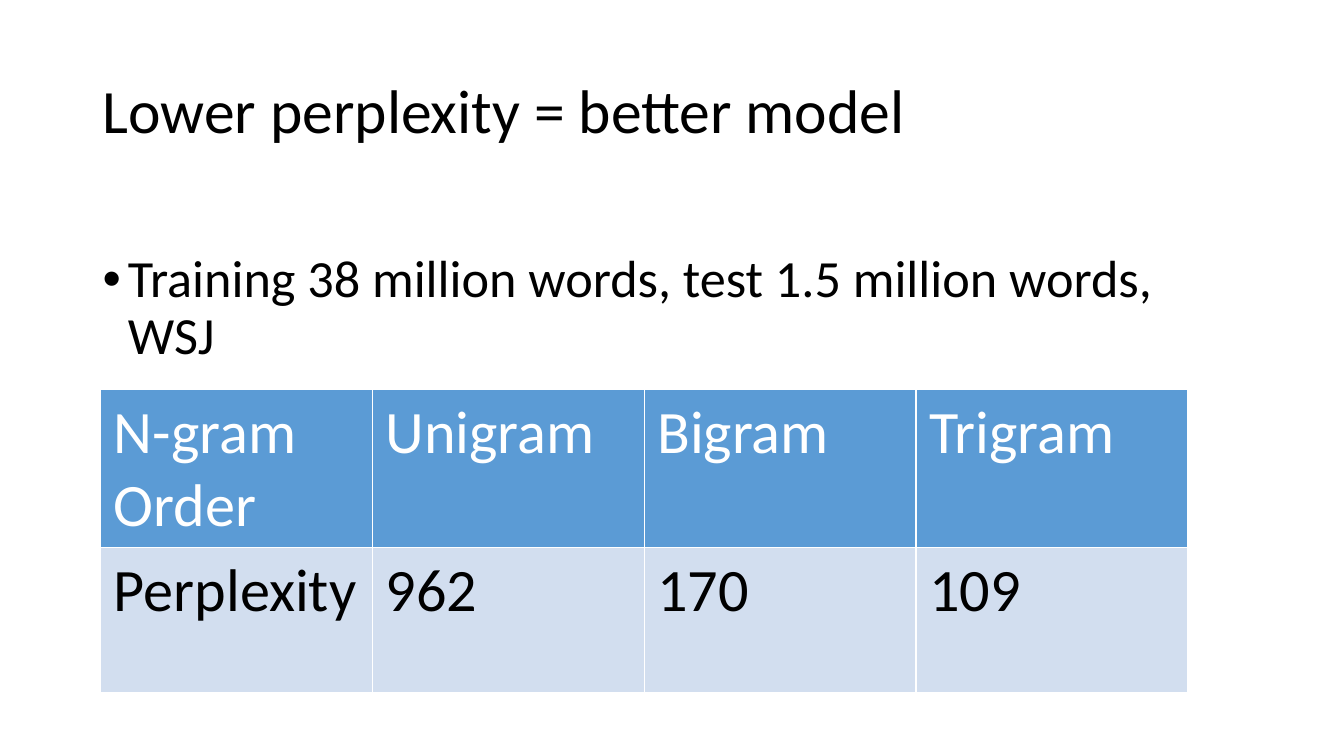
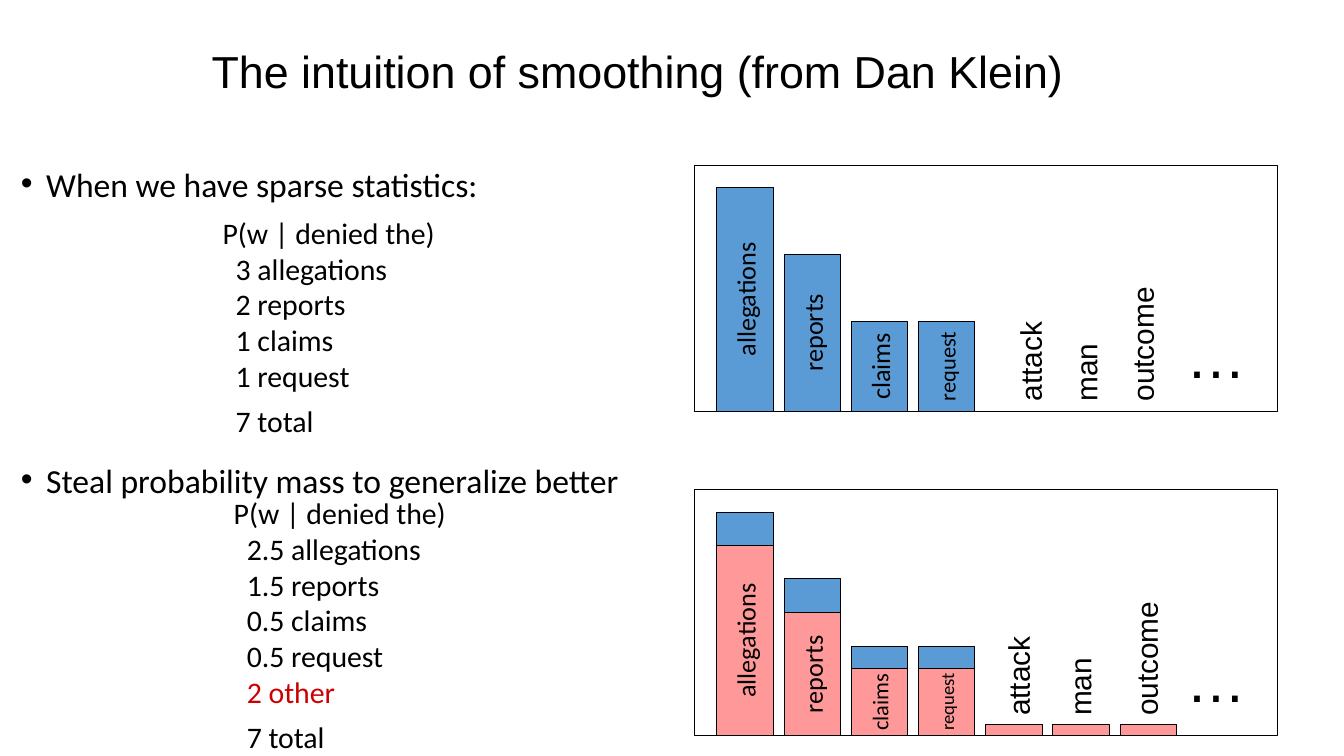
from dataclasses import dataclass

from lxml import etree
from pptx import Presentation
from pptx.dml.color import RGBColor
from pptx.enum import shapes, text
from pptx.oxml.ns import qn
from pptx.util import Inches, Pt


@dataclass(frozen=True)
class Theme:
    ink: str = "000000"
    paper: str = "FFFFFF"
    blue: str = "5B9BD5"
    pale: str = "D2DEEF"
    pink: str = "FF9999"
    red: str = "CC0000"
    body_font: str = "Calibri"
    plain_font: str = "Arial"
    title: float = 44
    small_title: float = 32
    table: float = 43
    statement: float = 37.3
    bullet: float = 24
    count: float = 21.3
    bar: float = 18.7
    ellipsis: float = 42.7


theme = Theme()


def write(frame, lines, size, font=theme.body_font, color=theme.ink, spacing=1.0,
          anchor=text.MSO_ANCHOR.TOP, align=text.PP_ALIGN.LEFT, wrap=True,
          bullet=False, indents=(), gap_before_last=0, accents=()):
    """Fill a text frame; indents are inches per line, accents are (line, colour) pairs."""
    frame.word_wrap = wrap
    frame.vertical_anchor = anchor
    colors = dict(accents)
    for index, line in enumerate(lines):
        para = frame.paragraphs[0] if index == 0 else frame.add_paragraph()
        para.alignment = align
        para.line_spacing = spacing
        span = para.add_run()
        span.text = line
        span.font.size = Pt(size)
        span.font.name = font
        span.font.bold = False
        span.font.color.rgb = RGBColor.from_string(colors.get(index, color))
        props = para._p.get_or_add_pPr()
        if indents:
            props.set("marL", str(Inches(indents[index])))
        if bullet:
            props.set("marL", str(Inches(0.25)))
            props.set("indent", str(Inches(-0.25)))
            etree.SubElement(props, qn("a:buFont"), typeface="Arial")
            etree.SubElement(props, qn("a:buChar"), char="•")
    if gap_before_last:
        para.space_before = Pt(gap_before_last)


def add_box(page, left, top, width, height, fill=None, upright=False, outline=True):
    """Add a rectangle or text box; upright ones are turned to read from bottom to top."""
    if upright:
        left += (width - height) / 2
        top += (height - width) / 2
        width, height = height, width
    place = Inches(left), Inches(top), Inches(width), Inches(height)
    if outline:
        box = page.shapes.add_shape(shapes.MSO_SHAPE.RECTANGLE, *place)
        box.shadow.inherit = False
        box.line.color.rgb = RGBColor.from_string(theme.ink)
        box.line.width = Pt(0.75)
        if fill:
            box.fill.solid()
            box.fill.fore_color.rgb = RGBColor.from_string(fill)
        else:
            box.fill.background()
    else:
        box = page.shapes.add_textbox(*place)
    if upright:
        box.rotation = 270
    return box


deck = Presentation()
deck.slide_width = Inches(13.33)
deck.slide_height = Inches(7.5)
blank = deck.slide_layouts[6]

# Titles and bullets
titles = [
    ("Lower perplexity = better model", (0.92, 0.4, 11.5, 1.45),
     theme.title, theme.body_font),
    ("The intuition of smoothing (from Dan Klein)", (2, 0.19, 10.89, 1.08),
     theme.small_title, theme.plain_font),
]
pages = []
for title, place, size, font in titles:
    page = deck.slides.add_slide(blank)
    box = add_box(page, *place, outline=False)
    write(box.text_frame, [title], size, font=font, spacing=0.9,
          anchor=text.MSO_ANCHOR.MIDDLE)
    pages.append(page)
perplexity_page, smoothing_page = pages

bullets = [
    (perplexity_page, "Training 38 million words, test 1.5 million words, WSJ",
     (0.92, 2.46, 11.5, 1.3), theme.statement, 0.9),
    (smoothing_page, "When we have sparse statistics:",
     (0.11, 1.69, 6.6, 0.4), theme.bullet, 0.7),
    (smoothing_page, "Steal probability mass to generalize better",
     (0.11, 4.62, 6.6, 0.4), theme.bullet, 0.7),
]
for page, line, place, size, spacing in bullets:
    box = add_box(page, *place, outline=False)
    write(box.text_frame, [line], size, spacing=spacing, bullet=True)

# Perplexity table
rows = [
    (1.56, theme.blue, theme.paper, ["N-gram Order", "Unigram", "Bigram", "Trigram"]),
    (1.44, theme.pale, theme.ink, ["Perplexity", "962", "170", "109"]),
]
table = perplexity_page.shapes.add_table(
    2, 4, Inches(1), Inches(3.86), Inches(10.78), Inches(3)).table
for row_index, (height, fill, color, values) in enumerate(rows):
    table.rows[row_index].height = Inches(height)
    for column_index, value in enumerate(values):
        cell = table.cell(row_index, column_index)
        cell.margin_left = cell.margin_right = Inches(0.13)
        cell.margin_top = cell.margin_bottom = Inches(0.07)
        write(cell.text_frame, [value], theme.table, color=color)
        props = cell._tc.get_or_add_tcPr()
        for side in ("lnL", "lnR", "lnT", "lnB"):
            border = etree.SubElement(props, qn(f"a:{side}"), w=str(Pt(1)))
            paint = etree.SubElement(border, qn("a:solidFill"))
            etree.SubElement(paint, qn("a:srgbClr"), val=theme.paper)
        cell.fill.solid()
        cell.fill.fore_color.rgb = RGBColor.from_string(fill)

# Word counts before and after smoothing
counts = [
    (2.11, 2.08, 2.34, ["3 allegations", "2 reports", "1 claims", "1 request"], ()),
    (2.22, 4.86, 2.7, ["2.5 allegations", "1.5 reports", "0.5 claims", "0.5 request",
                       "2 other"], [(5, theme.red)]),
]
for left, top, height, words, accents in counts:
    lines = ["P(w | denied the)", *words, "7 total"]
    box = add_box(smoothing_page, left, top, 3.56, height, outline=False)
    write(box.text_frame, lines, theme.count, accents=accents, gap_before_last=6.5,
          indents=[0] + [0.13] * (len(lines) - 1))

# Bar panels: each bar is (height, label, label size)
panel_left, panel_width, panel_height = 6.89, 5.78, 2.44
bar_width, bar_step = 0.56, 2 / 3
full_bars = [(2.22, "allegations", theme.bar), (1.56, "reports", theme.bar),
             (0.89, "claims", theme.bar), (0.89, "request", 16)]
unlabelled_bars = [(height, "", size) for height, _, size in full_bars]
reduced_bars = [(1.89, "allegations", theme.bar), (1.22, "reports", theme.bar),
                (0.67, "claims", 16), (0.67, "request", 13.3)] + [(0.11, "", 16)] * 3
unseen_words = ["attack", "man", "outcome"]
panels = [
    (1.64, [(theme.blue, full_bars)], 0.77, [9.99, 10.54, 11.1]),
    (4.86, [(theme.blue, unlabelled_bars), (theme.pink, reduced_bars)], 0.67,
     [9.87, 10.48, 11.14]),
]
for panel_top, layers, label_top, label_lefts in panels:
    add_box(smoothing_page, panel_left, panel_top, panel_width, panel_height)
    for fill, bars in layers:
        for index, (height, label, size) in enumerate(bars):
            bar = add_box(smoothing_page, panel_left + 0.22 + index * bar_step,
                          panel_top + panel_height - height, bar_width, height,
                          fill=fill, upright=True)
            if label:
                write(bar.text_frame, [label], size, wrap=False,
                      anchor=text.MSO_ANCHOR.MIDDLE, align=text.PP_ALIGN.CENTER)
    for word, left in zip(unseen_words, label_lefts):
        box = add_box(smoothing_page, left, panel_top + label_top, 0.46, 1.67,
                      upright=True, outline=False)
        write(box.text_frame, [word], theme.count, font=theme.plain_font)
    box = add_box(smoothing_page, 11.67, panel_top + 1.47, 0.78, 0.82, outline=False)
    write(box.text_frame, ["…"], theme.ellipsis, font=theme.plain_font)

deck.save("out.pptx")
